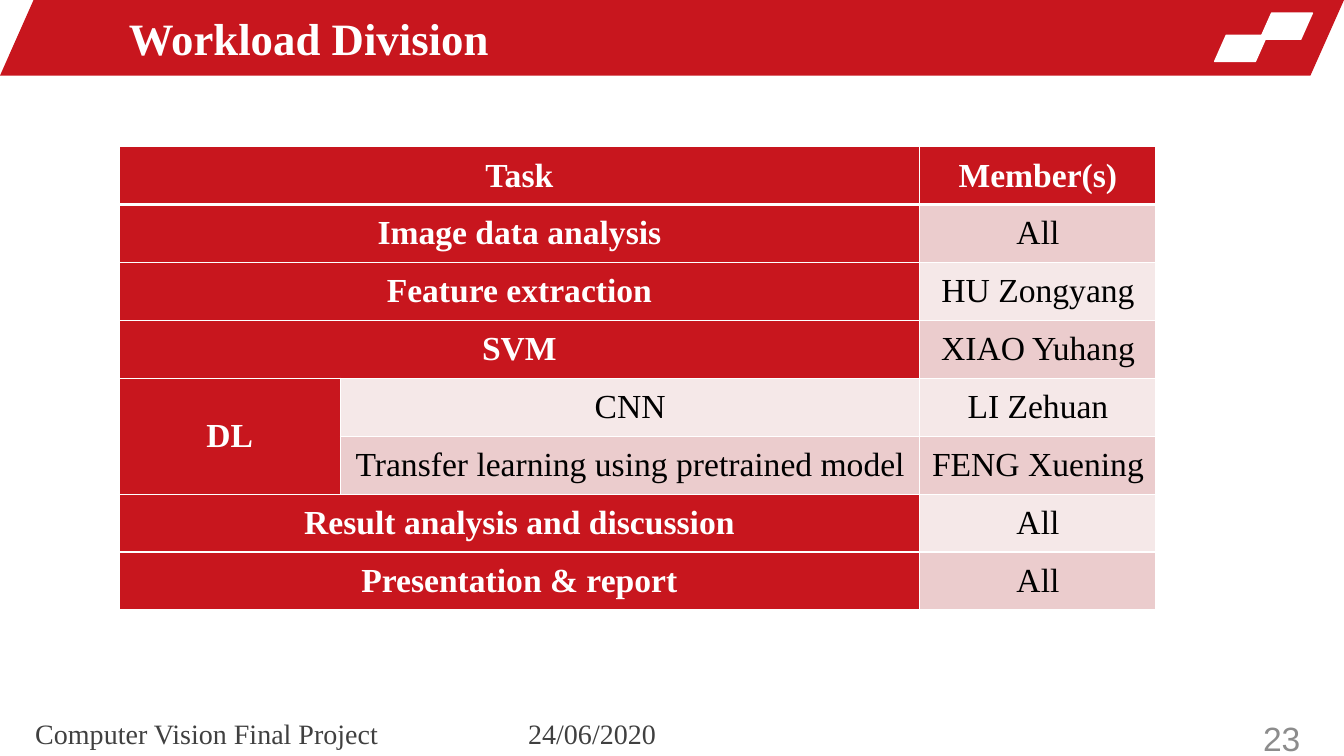
from lxml.etree import SubElement
from pptx import Presentation
from pptx.dml.color import RGBColor
from pptx.enum.shapes import MSO_SHAPE
from pptx.enum.text import MSO_ANCHOR, PP_ALIGN
from pptx.oxml.ns import qn
from pptx.util import Pt

COLORS = {
    "red": "C8161E", "white": "FFFFFF", "black": "000000", "footer": "404040",
    "number": "8C8C8C", "dark band": "EBCCCD", "light band": "F5E8E8",
}
SERIF, SANS = "Times New Roman", "Arial"

# left, top, width, height, outlined
PARALLELOGRAMS = [
    (0, 0, 960, 54, False),
    (900, 9.36, 37.44, 18.72, True),
    (867.6, 25.2, 37.44, 18.72, True),
]

# text, left, top, width, height, side inset, font, size, color, bold, alignment
LABELS = [
    ("Workload Division", 84.96, 3.6, 557.28, 46.8, 7.2,
     SERIF, 32, "white", True, PP_ALIGN.LEFT),
    ("Computer Vision Final Project", 25.2, 506.88, 326.88, 33.12, 0,
     SERIF, 20, "footer", False, PP_ALIGN.LEFT),
    ("24/06/2020", 377.28, 506.88, 326.88, 33.12, 0,
     SERIF, 20, "footer", False, PP_ALIGN.LEFT),
    ("23", 854.64, 513.36, 81.36, 27.36, 7.2,
     SANS, 24, "number", False, PP_ALIGN.RIGHT),
]

# task, subtask, member; None marks a cell covered by a merge
WORKLOAD = [
    ("Task", None, "Member(s)"),
    ("Image data analysis", None, "All"),
    ("Feature extraction", None, "HU Zongyang"),
    ("SVM", None, "XIAO Yuhang"),
    ("DL", "CNN", "LI Zehuan"),
    (None, "Transfer learning using pretrained model", "FENG Xuening"),
    ("Result analysis and discussion", None, "All"),
    ("Presentation & report", None, "All"),
]
TABLE_LEFT, TABLE_TOP = 84.96, 104.8
COLUMN_WIDTHS = [158.3, 413.8, 168.8]
ROW_HEIGHT = 41.36


def rgb(name):
    return RGBColor.from_string(COLORS[name])


def style(paragraph, font_name, size, color, bold, alignment):
    paragraph.alignment = alignment
    for run in paragraph.runs:
        run.font.name = font_name
        run.font.size = Pt(size)
        run.font.bold = bold
        run.font.color.rgb = rgb(color)


def add_parallelogram(slide, left, top, width, height, outlined):
    shape = slide.shapes.add_shape(
        MSO_SHAPE.PARALLELOGRAM, Pt(left), Pt(top), Pt(width), Pt(height))
    shape.adjustments[0] = 0.444
    shape.shadow.inherit = False
    shape.fill.solid()
    shape.fill.fore_color.rgb = rgb("white" if outlined else "red")
    if outlined:
        shape.line.color.rgb = rgb("white")
        shape.line.width = Pt(1)
    else:
        shape.line.fill.background()


def add_label(slide, text, left, top, width, height, inset, *look):
    frame = slide.shapes.add_textbox(
        Pt(left), Pt(top), Pt(width), Pt(height)).text_frame
    frame.word_wrap = True
    frame.vertical_anchor = MSO_ANCHOR.MIDDLE
    frame.margin_left = frame.margin_right = Pt(inset)
    frame.margin_top = frame.margin_bottom = Pt(inset / 2)
    frame.text = text
    style(frame.paragraphs[0], *look)


def add_borders(cell, bottom_width):
    properties = cell._tc.get_or_add_tcPr()
    for side, width in (("L", 1), ("R", 1), ("T", 1), ("B", bottom_width)):
        border = SubElement(properties, qn(f"a:ln{side}"), w=str(Pt(width)))
        fill = SubElement(border, qn("a:solidFill"))
        SubElement(fill, qn("a:srgbClr"), val=COLORS["white"])


def add_workload_table(slide):
    table = slide.shapes.add_table(
        len(WORKLOAD), len(COLUMN_WIDTHS), Pt(TABLE_LEFT), Pt(TABLE_TOP),
        Pt(sum(COLUMN_WIDTHS)), Pt(ROW_HEIGHT * len(WORKLOAD))).table
    for column, width in zip(table.columns, COLUMN_WIDTHS):
        column.width = Pt(width)
    for r, entries in enumerate(WORKLOAD):
        table.rows[r].height = Pt(ROW_HEIGHT)
        for c, text in enumerate(entries):
            cell = table.cell(r, c)
            heading = r == 0 or c == 0
            band = "dark band" if r % 2 else "light band"
            add_borders(cell, 3 if r == 0 else 1)
            cell.fill.solid()
            cell.fill.fore_color.rgb = rgb("red" if heading else band)
            cell.vertical_anchor = MSO_ANCHOR.MIDDLE
            cell.margin_left = cell.margin_right = Pt(5)
            cell.margin_top = cell.margin_bottom = 0
            if text:
                cell.text_frame.text = text
                style(cell.text_frame.paragraphs[0], SERIF, 24,
                      "white" if heading else "black", heading, PP_ALIGN.CENTER)
        task, subtask, _ = entries
        if task is None:
            table.cell(r - 1, 0).merge(table.cell(r, 0))
        elif subtask is None:
            table.cell(r, 0).merge(table.cell(r, 1))


def main():
    deck = Presentation()
    deck.slide_width, deck.slide_height = Pt(960), Pt(540)
    slide = deck.slides.add_slide(deck.slide_layouts[6])
    for parallelogram in PARALLELOGRAMS:
        add_parallelogram(slide, *parallelogram)
    for label in LABELS:
        add_label(slide, *label)
    add_workload_table(slide)
    deck.save("out.pptx")


if __name__ == "__main__":
    main()
